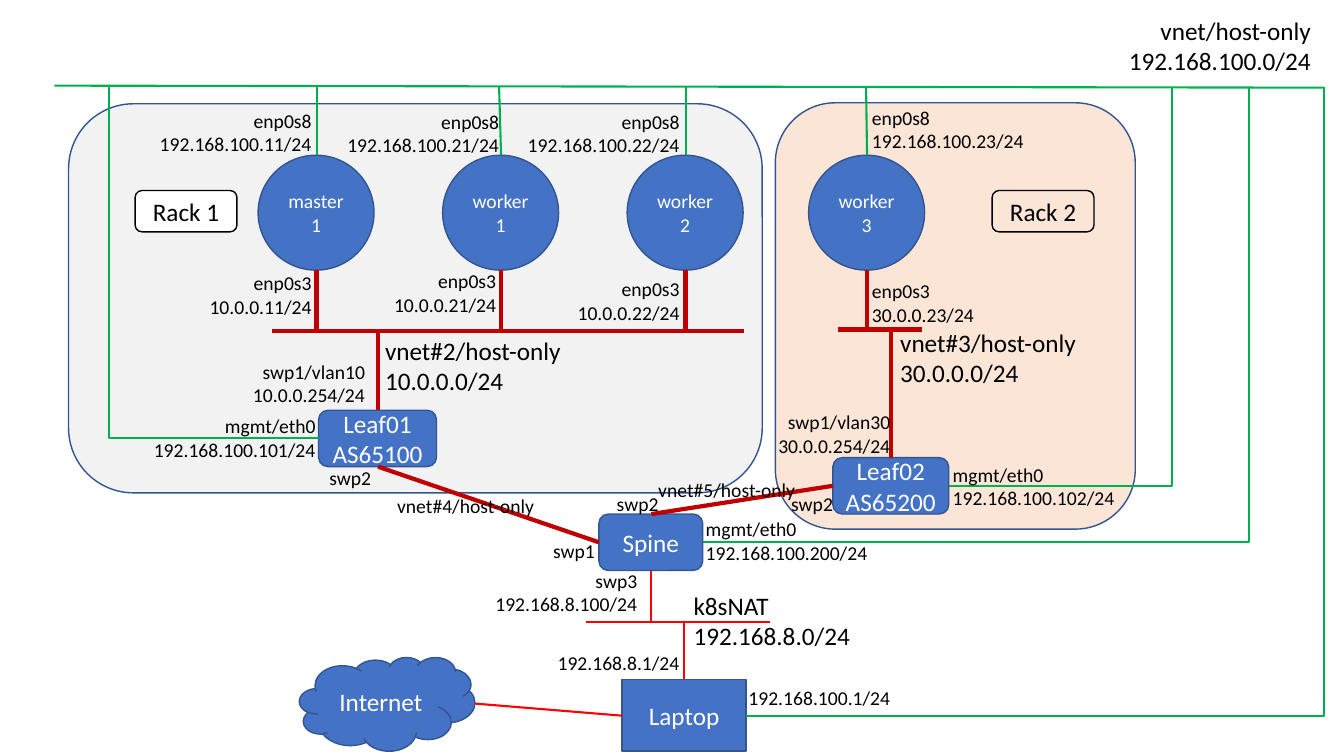
"""Draw the network map of two racks, their leaf switches and the spine."""
from dataclasses import dataclass

from lxml import etree
from pptx import Presentation
from pptx import util as u
from pptx.dml.color import RGBColor
from pptx.enum import shapes, text
from pptx.oxml.ns import qn

KIND = shapes.MSO_SHAPE
LEFT, CENTER, RIGHT = text.PP_ALIGN.LEFT, text.PP_ALIGN.CENTER, text.PP_ALIGN.RIGHT


@dataclass(frozen=True)
class Theme:
    """Colours, font and sizes used on the page."""
    font: str = "Calibri"
    large: int = 18
    small: int = 14
    node: str = "4472C4"
    edge: str = "325491"
    rack1: str = "F2F2F2"
    rack2: str = "FBE5D6"
    white: str = "FFFFFF"
    black: str = "000000"
    fabric: str = "C00000"
    nat: str = "FF0000"
    management: str = "00B050"
    thick: float = 3
    thin: float = 1.5
    outline: float = 1


THEME = Theme()


def lengths(*inches):
    """Turn inches into lengths."""
    return [u.Cm(value * 2.54) for value in inches]


def rgb(colour):
    """Turn a hex code into a colour."""
    return RGBColor.from_string(colour)


def write(frame, lines, size, colour, align):
    """Write one paragraph per line into a text frame."""
    frame.word_wrap = True
    for index, line in enumerate(lines):
        para = frame.add_paragraph() if index else frame.paragraphs[0]
        para.alignment = align
        span = para.add_run()
        span.text = line
        span.font.name = THEME.font
        span.font.size = u.Pt(size)
        span.font.color.rgb = rgb(colour)


def add_box(page, kind, place, lines=(), fill=THEME.node, edge=THEME.edge,
            colour=THEME.white, size=THEME.large):
    """Add a filled shape with centred text."""
    box = page.shapes.add_shape(kind, *lengths(*place))
    box.shadow.inherit = False
    box.fill.solid()
    box.fill.fore_color.rgb = rgb(fill)
    box.line.color.rgb = rgb(edge)
    box.line.width = u.Pt(THEME.outline)
    box.text_frame.vertical_anchor = text.MSO_ANCHOR.MIDDLE
    write(box.text_frame, lines, size, colour, CENTER)


def add_label(page, left, top, width, lines, align=RIGHT, size=THEME.small):
    """Add a free text label as high as its lines."""
    height = 0.1 + len(lines) * size * 1.2 / 72
    label = page.shapes.add_textbox(*lengths(left, top, width, height))
    write(label.text_frame, lines, size, THEME.black, align)
    label.text_frame.auto_size = text.MSO_AUTO_SIZE.SHAPE_TO_FIT_TEXT


def add_link(page, ends, colour, width=THEME.thin, bent=False):
    """Add a straight link, or one that runs sideways and then turns once."""
    kind = shapes.MSO_CONNECTOR.ELBOW if bent else shapes.MSO_CONNECTOR.STRAIGHT
    link = page.shapes.add_connector(kind, *lengths(*ends))
    link.line.color.rgb = rgb(colour)
    link.line.width = u.Pt(width)
    properties = link.element.find(qn("p:spPr"))
    if bent:
        properties.find(qn("a:prstGeom")).set("prst", "bentConnector2")
    etree.SubElement(properties, qn("a:effectLst"))


def add_racks(page):
    """Add the two racks and their name plates."""
    racks = (
        ("Rack 2", (7.69, 1.02, 3.57, 4.23), THEME.rack2, 9.84, THEME.rack2),
        ("Rack 1", (0.68, 1.03, 6.88, 3.86), THEME.rack1, 1.34, THEME.white),
    )
    for name, place, fill, plate_left, plate_fill in racks:
        add_box(page, KIND.ROUNDED_RECTANGLE, place, fill=fill)
        add_box(page, KIND.ROUNDED_RECTANGLE, (plate_left, 1.89, 1.01, 0.41), [name],
                plate_fill, THEME.black, THEME.black)


def add_hosts(page):
    """Add the cluster hosts with their two links each."""
    hosts = (("master1", 2.56, 3.14, 3.28), ("worker1", 4.39, 4.95, 3.28),
             ("worker2", 6.22, 6.8, 3.28), ("worker3", 8.02, 8.59, 3.27))
    for name, left, uplink, bus in hosts:
        centre = left + 0.58
        add_box(page, KIND.OVAL, (left, 1.54, 1.15, 1.14), [name], size=THEME.small)
        add_link(page, (centre, 1.54, uplink, 0.86), THEME.management)
        add_link(page, (centre, 2.68, centre, bus), THEME.fabric, THEME.thick)


def add_devices(page):
    """Add the switches, the laptop and the internet cloud."""
    devices = (
        (KIND.ROUNDED_RECTANGLE, (3.16, 4.07, 1.17, 0.56), ["Leaf01", "AS65100"]),
        (KIND.ROUNDED_RECTANGLE, (8.26, 4.54, 1.15, 0.56), ["Leaf02", "AS65200"]),
        (KIND.ROUNDED_RECTANGLE, (5.94, 5.1, 1.03, 0.56), ["Spine"]),
        (KIND.RECTANGLE, (6.17, 6.74, 1.23, 0.71), ["Laptop"]),
        (KIND.CLOUD, (2.97, 6.52, 1.74, 0.93), ["Internet"]),
    )
    for device in devices:
        add_box(page, *device)


def add_links(page):
    """Add the networks and the links between devices."""
    fabric = ((2.7, 3.28, 7.38, 3.28), (3.75, 3.28, 3.75, 4.07),
              (8.31, 3.27, 9.14, 3.27), (8.84, 3.27, 8.84, 4.54),
              (3.75, 4.63, 5.94, 5.38), (6.46, 5.1, 8.26, 4.82))
    nat = ((6.46, 5.66, 6.46, 6.16), (5.81, 6.17, 7.64, 6.17),
           (6.78, 6.16, 6.78, 6.74), (4.71, 6.98, 6.17, 7.1))
    management = ((7.4, 7.1, 13.13, 0.86), (9.41, 4.82, 11.62, 0.86),
                  (3.16, 4.35, 1.08, 0.84), (6.97, 5.38, 12.39, 0.86))
    for ends in fabric:
        add_link(page, ends, THEME.fabric, THEME.thick)
    for ends in nat:
        add_link(page, ends, THEME.nat)
    add_link(page, (0.54, 0.85, 13.13, 0.87), THEME.management)
    for ends in management:
        add_link(page, ends, THEME.management, bent=True)


def add_labels(page):
    """Add the network names and the interface addresses."""
    networks = (
        (11.05, 0.1, 2.05, ["vnet/host-only", "192.168.100.0/24"], RIGHT),
        (3.72, 3.28, 2.05, ["vnet#2/host-only", "10.0.0.0/24"], LEFT),
        (8.83, 3.2, 1.96, ["vnet#3/host-only", "30.0.0.0/24"], LEFT),
        (6.78, 5.81, 2.05, ["k8sNAT", "192.168.8.0/24"], LEFT),
    )
    interfaces = (
        (1.47, 1.03, 1.72, ["enp0s8", "192.168.100.11/24"]),
        (3.33, 1.04, 1.72, ["enp0s8", "192.168.100.21/24"]),
        (5.12, 1.04, 1.72, ["enp0s8", "192.168.100.22/24"]),
        (8.55, 1, 1.72, ["enp0s8", "192.168.100.23/24"], LEFT),
        (1.94, 2.64, 1.25, ["enp0s3", "10.0.0.11/24"]),
        (3.77, 2.62, 1.25, ["enp0s3", "10.0.0.21/24"]),
        (5.59, 2.7, 1.25, ["enp0s3", "10.0.0.22/24"]),
        (8.55, 2.72, 1.25, ["enp0s3", "30.0.0.23/24"], LEFT),
        (2.35, 3.52, 1.37, ["swp1/vlan10", "10.0.0.254/24"]),
        (7.59, 4.02, 1.34, ["swp1/vlan30", "30.0.0.254/24"]),
        (4.39, 5.59, 2.03, ["swp3", "192.168.8.100/24"]),
        (1.38, 4.06, 1.85, ["mgmt/eth0", "192.168.100.101/24"]),
        (9.35, 4.54, 1.85, ["mgmt/eth0", "192.168.100.102/24"], LEFT),
        (6.9, 5.08, 1.85, ["mgmt/eth0", "192.168.100.200/24"], LEFT),
        (5.38, 6.41, 1.46, ["192.168.8.1/24"]),
        (7.31, 6.76, 1.62, ["192.168.100.1/24"]),
        (3.14, 4.57, 0.64, ["swp2"]),
        (5.34, 5.3, 0.66, ["swp1"]),
        (5.94, 4.83, 0.69, ["swp2"]),
        (7.67, 4.83, 0.69, ["swp2"]),
        (3.84, 4.85, 2.05, ["vnet#4/host-only"], LEFT),
        (6.43, 4.69, 1.61, ["vnet#5/host-only"], LEFT),
    )
    for network in networks:
        add_label(page, *network, size=THEME.large)
    for interface in interfaces:
        add_label(page, *interface)


def main():
    """Build the deck and save it."""
    deck = Presentation()
    deck.slide_width, deck.slide_height = lengths(13.33, 7.5)
    page = deck.slides.add_slide(deck.slide_layouts[6])
    for add_part in (add_racks, add_hosts, add_devices, add_links, add_labels):
        add_part(page)
    deck.save("out.pptx")


if __name__ == "__main__":
    main()
